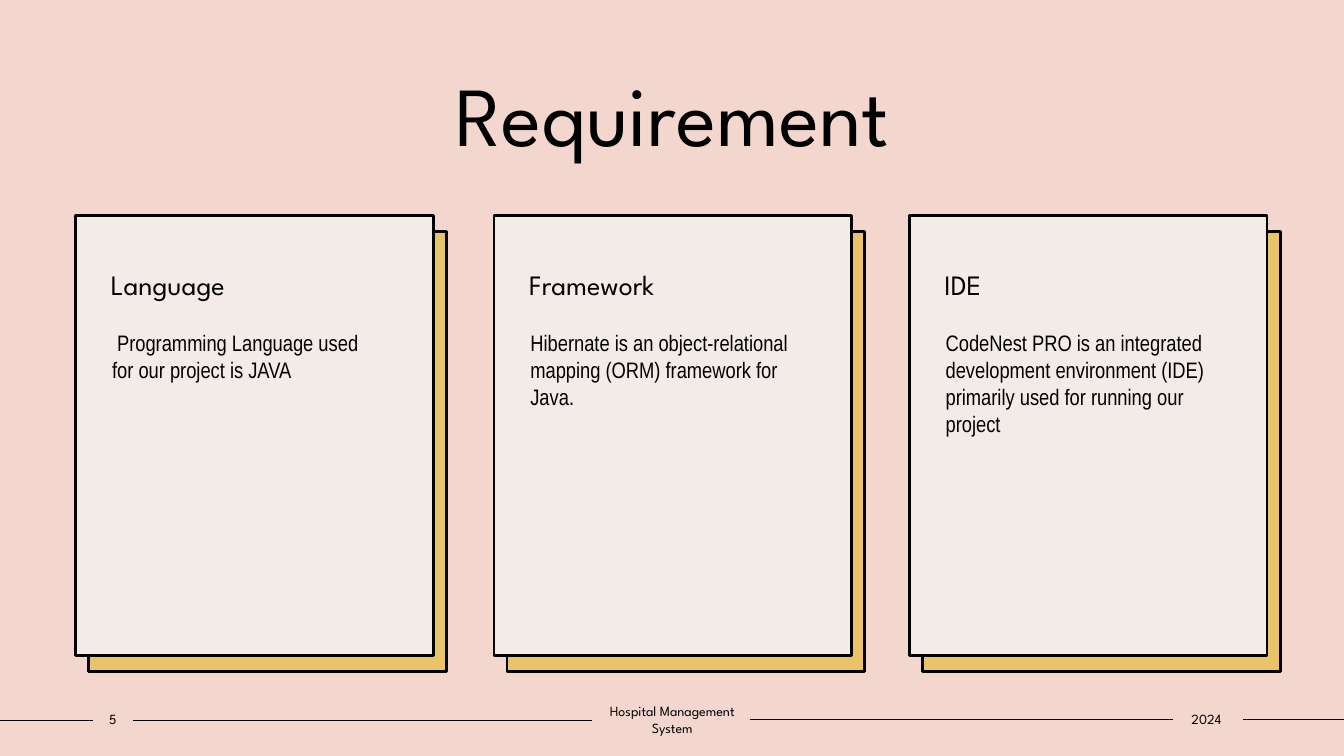
from lxml.etree import SubElement
from pptx import Presentation
from pptx.dml.color import RGBColor
from pptx.enum.shapes import MSO_CONNECTOR as Connector, MSO_SHAPE as Shape
from pptx.enum.text import MSO_ANCHOR as Anchor, PP_ALIGN as Align
from pptx.oxml.ns import qn
from pptx.util import Pt

COLORS = {
    "background": "F3D6CD",
    "card": "F3EBE8",
    "backing": "E9C369",
    "ink": "000000",
}
HEADING_FONT = "League Spartan"
BODY_FONT = "Arial Narrow"


def color(name):
    return RGBColor.from_string(COLORS[name])


class SlideBuilder:
    def __init__(self, slide):
        self.slide = slide
        slide.background.fill.solid()
        slide.background.fill.fore_color.rgb = color("background")

    def fill_text(self, shape, text, size, font, align=Align.LEFT,
                  anchor=Anchor.TOP, insets=(7.2, 3.6, 7.2, 3.6)):
        frame = shape.text_frame
        frame.text = text
        frame.word_wrap = True
        frame.vertical_anchor = anchor
        frame.margin_left, frame.margin_top, frame.margin_right, frame.margin_bottom = map(Pt, insets)
        paragraph = frame.paragraphs[0]
        paragraph.alignment = align
        for run in paragraph.runs:
            run.font.size = Pt(size)
            run.font.name = font
            run.font.color.rgb = color("ink")
        return paragraph

    def text(self, left, top, width, height, text, size, font, **style):
        box = self.slide.shapes.add_textbox(Pt(left), Pt(top), Pt(width), Pt(height))
        return self.fill_text(box, text, size, font, **style)

    def rectangle(self, left, top, width, height, fill):
        shape = self.slide.shapes.add_shape(
            Shape.RECTANGLE, Pt(left), Pt(top), Pt(width), Pt(height))
        shape.shadow.inherit = False
        shape.fill.solid()
        shape.fill.fore_color.rgb = color(fill)
        shape.line.color.rgb = color("ink")
        shape.line.width = Pt(2)
        return shape

    def rule(self, start, end, y):
        line = self.slide.shapes.add_connector(
            Connector.STRAIGHT, Pt(start), Pt(y), Pt(end), Pt(y))
        line.line.color.rgb = color("ink")
        line.line.width = Pt(1)
        SubElement(line._element.spPr, qn("a:effectLst"))

    def card(self, left, heading, body, first_indent):
        top, width, height = 154.1, 255.6, 313.9
        self.rectangle(left + 9.4, top + 11.5, width, height, "backing")
        front = self.rectangle(left, top, width, height, "card")
        paragraph = self.fill_text(front, heading, 20, HEADING_FONT,
                                   insets=(25.2, 39.6, 7.2, 3.6))
        paragraph.line_spacing = 0.9
        paragraph = self.text(left + 19, 231.8, 216, 219.6, body, 16, BODY_FONT)
        if first_indent:
            paragraph._p.get_or_add_pPr().set("indent", str(Pt(first_indent)))


def main():
    presentation = Presentation()
    presentation.slide_width, presentation.slide_height = Pt(960), Pt(540)
    builder = SlideBuilder(presentation.slides.add_slide(presentation.slide_layouts[6]))

    # Footer rules
    for start, end, y in [(0, 66.2, 514.8), (95, 422.6, 514.8),
                          (535.7, 838.1, 514.1), (887.8, 960, 514.1)]:
        builder.rule(start, end, y)

    # Title
    builder.text(90, 40.3, 780.5, 79.9, "Requirement", 60, HEADING_FONT,
                 align=Align.CENTER, anchor=Anchor.BOTTOM)

    # Requirement cards
    cards = [
        (54, "Language", "Programming Language used\vfor our project is JAVA", 3.6),
        (352.8, "Framework",
         "Hibernate is an object-relational mapping (ORM) framework for Java.", 0),
        (649.4, "IDE",
         "CodeNest PRO is an integrated development environment (IDE) "
         "primarily used for running our project", 0),
    ]
    for left, heading, body, first_indent in cards:
        builder.card(left, heading, body, first_indent)

    # Footer labels
    for left, width, label in [(66.2, 28.8, "5"),
                               (422.6, 115.2, "Hospital Management System"),
                               (836.6, 50.4, "2024")]:
        builder.text(left, 504, width, 19.4, label, 10, HEADING_FONT,
                     align=Align.CENTER, anchor=Anchor.MIDDLE, insets=(0, 3.6, 0, 3.6))

    presentation.save("out.pptx")


if __name__ == "__main__":
    main()
